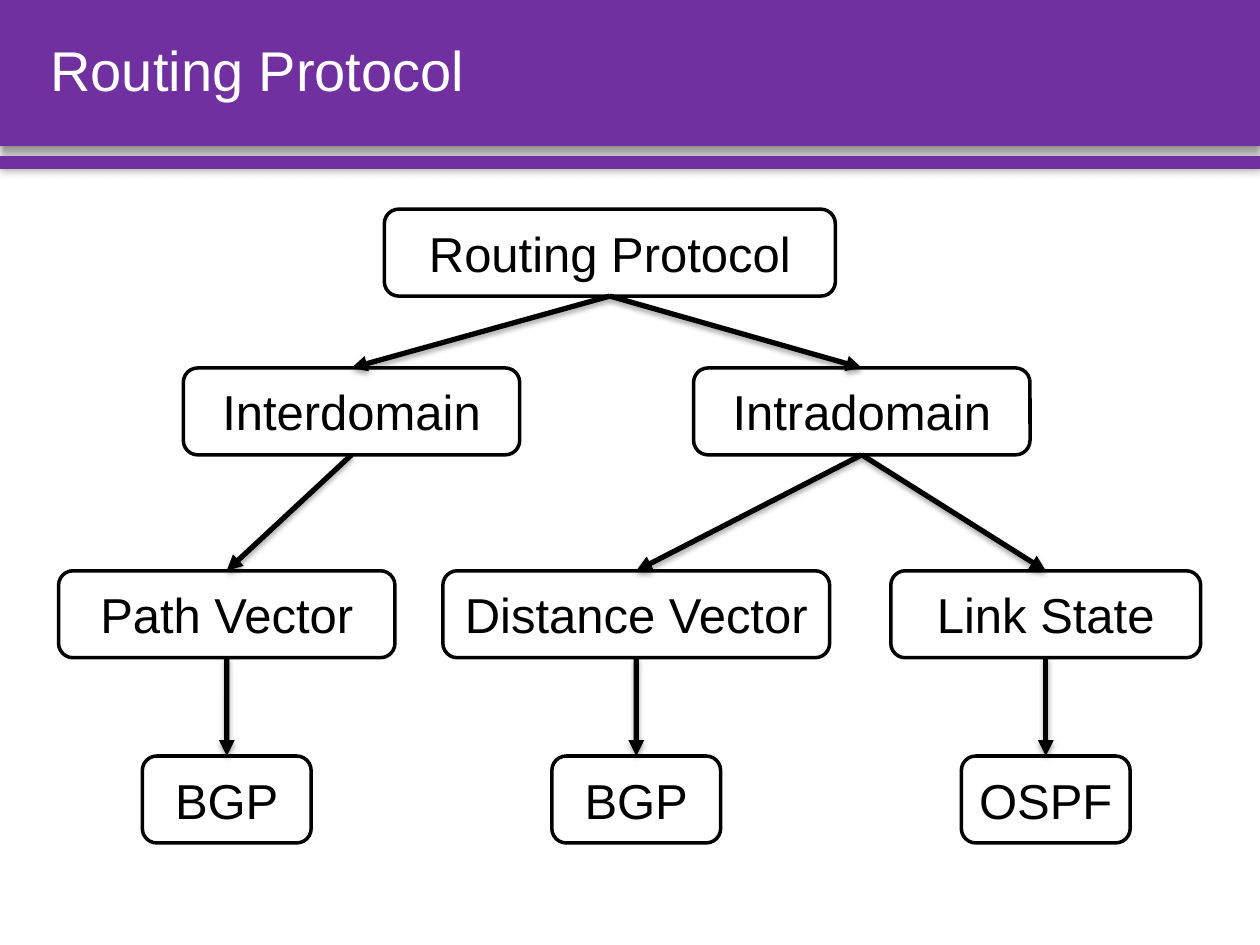
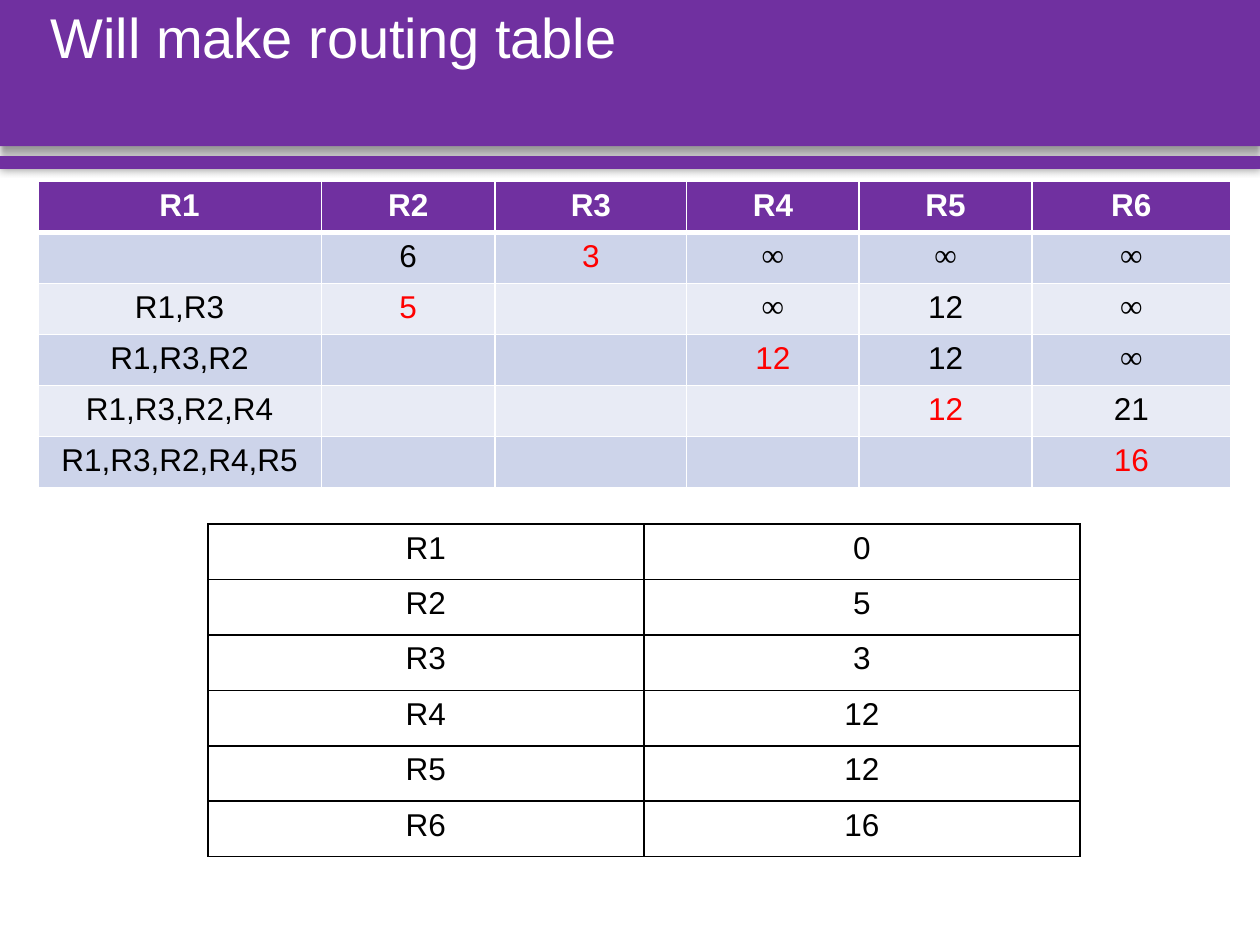
"""Build two slides on routing protocols: a protocol tree and routing tables."""
import lxml.etree
import pptx
import pptx.dml.color
import pptx.enum.shapes
import pptx.enum.text
import pptx.oxml.ns
import pptx.util

Inches = pptx.util.Inches
Pt = pptx.util.Pt
qn = pptx.oxml.ns.qn
SHAPE = pptx.enum.shapes.MSO_SHAPE
ALIGN = pptx.enum.text.PP_ALIGN
ANCHOR = pptx.enum.text.MSO_ANCHOR

COLORS = {
    "purple": "7030A0",
    "white": "FFFFFF",
    "black": "000000",
    "red": "FF0000",
    "band_dark": "CDD4EA",
    "band_light": "E8EBF5",
}
FONT = "Arial"
SYMBOL_FONT = "Times New Roman"
BOX_HEIGHT = 0.69
LEVEL_TOPS = [1.66, 2.92, 4.53, 6]

PROTOCOL_TREE = ("Routing Protocol", 4.84, 3.58, [
    ("Interdomain", 2.79, 2.67, [
        ("Path Vector", 1.8, 2.67, [("BGP", 1.8, 1.34, [])]),
    ]),
    ("Intradomain", 6.84, 2.67, [
        ("Distance Vector", 5.05, 3.07, [("BGP", 5.05, 1.34, [])]),
        ("Link State", 8.3, 2.46, [("OSPF", 8.3, 1.34, [])]),
    ]),
])

STEPS = [
    ["R1", "R2", "R3", "R4", "R5", "R6"],
    ["", "6", "3", "∞", "∞", "∞"],
    ["R1,R3", "5", "", "∞", "12", "∞"],
    ["R1,R3,R2", "", "", "12", "12", "∞"],
    ["R1,R3,R2,R4", "", "", "", "12", "21"],
    ["R1,R3,R2,R4,R5", "", "", "", "", "16"],
]
STEP_WIDTHS = [2.25, 1.38, 1.52, 1.37, 1.37, 1.58]
CHOSEN = {(1, 2), (2, 1), (3, 3), (4, 4), (5, 5)}
DISTANCES = [["R1", "0"], ["R2", "5"], ["R3", "3"],
             ["R4", "12"], ["R5", "12"], ["R6", "16"]]


def rgb(name):
    """Return the named colour."""
    return pptx.dml.color.RGBColor.from_string(COLORS[name])


def add_element(parent, tag, **attributes):
    """Append a DrawingML element with the given attributes."""
    values = {key: str(value) for key, value in attributes.items()}
    return lxml.etree.SubElement(parent, qn(tag), values)


def add_shadow(shape, opacity, blur, distance, angle):
    """Give a shape or connector an outer shadow."""
    properties = shape.element.spPr
    for effects in properties.findall(qn("a:effectLst")):
        properties.remove(effects)
    effects = add_element(properties, "a:effectLst")
    shadow = add_element(effects, "a:outerShdw", blurRad=Pt(blur), dist=Pt(distance),
                         dir=angle * 60000, rotWithShape=0)
    color = add_element(shadow, "a:srgbClr", val=COLORS["black"])
    add_element(color, "a:alpha", val=opacity * 1000)


class SlideBuilder:
    """Hold the deck, its style and the current page."""

    def __init__(self):
        """Start an empty deck."""
        self.deck = pptx.Presentation()
        self.deck.slide_width = Inches(10)
        self.deck.slide_height = Inches(7.5)
        self.page = None

    def start_page(self, text, anchor=ANCHOR.MIDDLE, margin_top=0.05):
        """Add a page with the title bands and its title."""
        self.page = self.deck.slides.add_slide(self.deck.slide_layouts[5])
        title = self.page.shapes.title
        for top, height, shadow in ((0, 1.16, (40, 4, 3, 90)), (1.24, 0.1, (40, 5, 0, 0))):
            title.element.addprevious(self.band(top, height, shadow).element)
        title.left, title.top = Inches(0.3), Inches(0)
        title.width, title.height = Inches(9.46), Inches(1.16)
        frame = title.text_frame
        frame.text = text
        frame.auto_size = pptx.enum.text.MSO_AUTO_SIZE.NONE
        frame.word_wrap = True
        frame.vertical_anchor = anchor
        frame.margin_top = Inches(margin_top)
        frame.paragraphs[0].line_spacing = 0.9
        self.format(frame.paragraphs[0], 32, "white", ALIGN.LEFT)

    def format(self, para, size, color, alignment=ALIGN.CENTER, bold=False, font=FONT):
        """Set the font and alignment of a paragraph."""
        para.alignment = alignment
        para.font.name = font
        para.font.size = Pt(size)
        para.font.bold = bold
        para.font.color.rgb = rgb(color)

    def band(self, top, height, shadow):
        """Draw a purple band across the page."""
        band = self.page.shapes.add_shape(
            SHAPE.RECTANGLE, Inches(0), Inches(top), Inches(10), Inches(height))
        band.fill.solid()
        band.fill.fore_color.rgb = rgb("purple")
        band.line.fill.background()
        add_shadow(band, *shadow)
        return band

    def box(self, text, center, top, width):
        """Draw a rounded, outlined box around its label."""
        box = self.page.shapes.add_shape(
            SHAPE.ROUNDED_RECTANGLE, Inches(center - width / 2), Inches(top),
            Inches(width), Inches(BOX_HEIGHT))
        box.shadow.inherit = False
        box.fill.solid()
        box.fill.fore_color.rgb = rgb("white")
        box.line.color.rgb = rgb("black")
        box.line.width = Pt(2)
        box.text_frame.text = text
        box.text_frame.vertical_anchor = ANCHOR.MIDDLE
        self.format(box.text_frame.paragraphs[0], 28, "black")
        return box

    def arrow(self, parent, child):
        """Draw an arrow from the bottom of one box to the top of another."""
        arrow = self.page.shapes.add_connector(
            pptx.enum.shapes.MSO_CONNECTOR.STRAIGHT, 0, 0, 0, 0)
        arrow.begin_connect(parent, 2)
        arrow.end_connect(child, 0)
        arrow.line.color.rgb = rgb("black")
        arrow.line.width = Pt(3)
        add_element(arrow.element.spPr.find(qn("a:ln")), "a:tailEnd", type="triangle")
        add_shadow(arrow, 35, 3.1, 1.8, 90)

    def tree(self, node, level=0):
        """Draw a node and everything below it, and return its box."""
        text, center, width, children = node
        box = self.box(text, center, LEVEL_TOPS[level], width)
        for child in children:
            self.arrow(box, self.tree(child, level + 1))
        return box

    def table(self, rows, left, top, widths, row_height):
        """Add a plain table and return it with its style bands off."""
        frame = self.page.shapes.add_table(
            len(rows), len(widths), Inches(left), Inches(top),
            Inches(sum(widths)), Inches(row_height * len(rows)))
        table = frame.table
        table.first_row = table.horz_banding = False
        for column, width in zip(table.columns, widths):
            column.width = Inches(width)
        for row in table.rows:
            row.height = Inches(row_height)
        return table

    def cell(self, cell, text, color, fill, border, widths=(1, 1, 1, 1), bold=False, margin=0.1):
        """Fill, border and label one table cell."""
        properties = cell._tc.get_or_add_tcPr()
        for side, width in zip("LRTB", widths):
            line = add_element(properties, "a:ln" + side, w=Pt(width))
            add_element(add_element(line, "a:solidFill"), "a:srgbClr", val=COLORS[border])
        if fill:
            cell.fill.solid()
            cell.fill.fore_color.rgb = rgb(fill)
        else:
            cell.fill.background()
        cell.margin_left = cell.margin_right = Inches(margin)
        cell.text = text
        font = SYMBOL_FONT if text == "∞" else FONT
        self.format(cell.text_frame.paragraphs[0], 18, color, bold=bold, font=font)

    def step_table(self):
        """Show the shortest-path steps, with each chosen distance in red."""
        table = self.table(STEPS, 0.3, 1.44, STEP_WIDTHS, 0.405)
        for row, values in enumerate(STEPS):
            header = row == 0
            fill = "purple" if header else "band_dark" if row % 2 else "band_light"
            widths = (1, 1, 3 if row == 1 else 1, 3 if header else 1)
            for column, text in enumerate(values):
                color = "white" if header else "red" if (row, column) in CHOSEN else "black"
                self.cell(table.cell(row, column), text, color, fill, "white", widths, header)

    def distance_table(self):
        """Show the final distance to each router."""
        table = self.table(DISTANCES, 1.65, 4.16, [3.46, 3.46], 0.44)
        for row, values in enumerate(DISTANCES):
            for column, text in enumerate(values):
                self.cell(table.cell(row, column), text, "black", None, "black", margin=0.25)


def main():
    """Build and save the deck."""
    builder = SlideBuilder()
    builder.start_page("Routing Protocol")
    builder.tree(PROTOCOL_TREE)
    builder.start_page("Will make routing table", ANCHOR.TOP, 0.08)
    builder.distance_table()
    builder.step_table()
    builder.deck.save("out.pptx")


if __name__ == "__main__":
    main()
